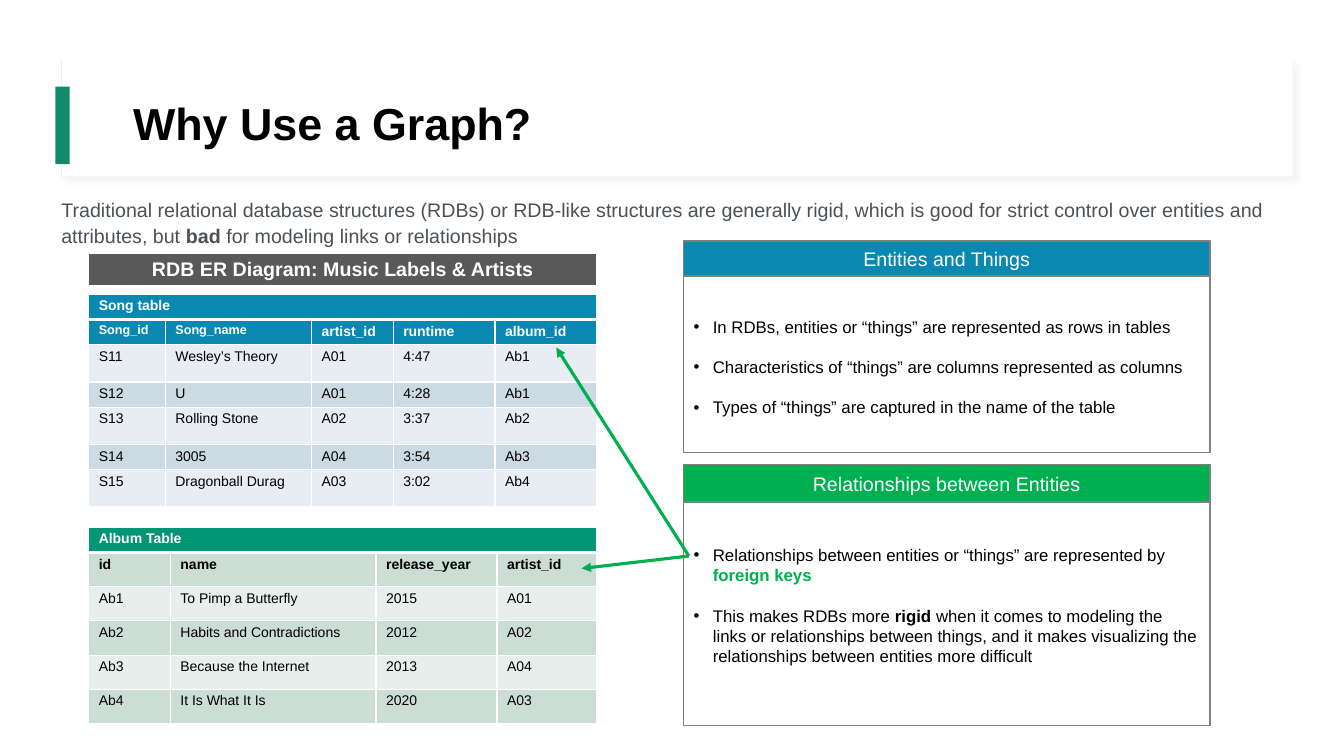
from dataclasses import dataclass

from lxml import etree
from pptx import Presentation
from pptx.dml.color import RGBColor
from pptx.enum.shapes import MSO_CONNECTOR, MSO_SHAPE
from pptx.enum.text import MSO_ANCHOR, MSO_AUTO_SIZE, PP_ALIGN
from pptx.oxml.ns import qn
from pptx.util import Inches, Pt

RECTANGLE = MSO_SHAPE.RECTANGLE
STRAIGHT = MSO_CONNECTOR.STRAIGHT
TOP, MIDDLE = MSO_ANCHOR.TOP, MSO_ANCHOR.MIDDLE
LEFT, CENTER = PP_ALIGN.LEFT, PP_ALIGN.CENTER
COMPARISON_LAYOUT = 4
GRID = Inches(0.1)  # one column or row of the slide grid


@dataclass(frozen=True)
class Theme:
    font: str = "Arial"
    black: str = "000000"
    white: str = "FFFFFF"
    grey_text: str = "4D5156"
    banner: str = "595959"
    border: str = "808080"
    frame: str = "EBF0ED"
    shadow: str = "D9D9D9"
    accent: str = "108A6A"
    blue: str = "0989B1"
    blue_bands: tuple = ("E7EDF2", "CCDAE4")
    teal: str = "029676"
    teal_bands: tuple = ("E7EFEC", "CCDDD6")
    green: str = "00B050"
    title_size: float = 32
    heading_size: float = 14
    body_size: float = 12
    table_size: float = 10
    small_size: float = 9


THEME = Theme()


@dataclass(frozen=True)
class Box:
    """An area in grid columns and rows."""
    left: float
    top: float
    width: float
    height: float

    def lengths(self):
        return [round(n * GRID) for n in (self.left, self.top, self.width, self.height)]

    def point(self, across, down):
        return (round((self.left + across * self.width) * GRID),
                round((self.top + down * self.height) * GRID))


def rgb(color):
    return RGBColor.from_string(color)


def add_text(paragraph, text, size=THEME.body_size, color=THEME.black, bold=False):
    run = paragraph.add_run()
    run.text = text
    font = run.font
    font.name, font.size, font.bold = THEME.font, Pt(size), bold
    font.color.rgb = rgb(color)


def format_paragraph(paragraph, align=LEFT, spacing=1.0, before=0, bullet=None):
    properties = paragraph._p.get_or_add_pPr()
    indent = Inches(0.19) if bullet else 0
    properties.set("marL", str(indent))
    properties.set("indent", str(-indent))
    if bullet:
        etree.SubElement(properties, qn("a:buFont"), typeface=THEME.font)
        etree.SubElement(properties, qn("a:buChar"), char=bullet)
    else:
        etree.SubElement(properties, qn("a:buNone"))
    paragraph.alignment = align
    paragraph.line_spacing = spacing
    paragraph.space_before = Pt(before)


def prepare(shape, box, anchor=MIDDLE):
    shape.left, shape.top, shape.width, shape.height = box.lengths()
    frame = shape.text_frame
    frame.word_wrap = True
    frame.auto_size = MSO_AUTO_SIZE.NONE
    frame.vertical_anchor = anchor
    return frame


def paint(shape, fill=None, line=None, width=1):
    if fill:
        shape.fill.solid()
        shape.fill.fore_color.rgb = rgb(fill)
    else:
        shape.fill.background()
    if line:
        shape.line.color.rgb = rgb(line)
        shape.line.width = Pt(width)
    else:
        shape.line.fill.background()


def add_rectangle(slide, box, **colors):
    shape = slide.shapes.add_shape(RECTANGLE, *box.lengths())
    shape.shadow.inherit = False
    paint(shape, **colors)
    return shape


def add_header(slide, box):
    # Frame with a soft shadow, its white cover and the accent bar, behind the title
    frame = add_rectangle(slide, box, fill=THEME.white, line=THEME.frame, width=0.75)
    effects = frame._element.spPr.find(qn("a:effectLst"))
    shadow = etree.SubElement(effects, qn("a:outerShdw"), blurRad=str(Pt(4)),
                              dist=str(Pt(3)), dir="2700000")
    color = etree.SubElement(shadow, qn("a:srgbClr"), val=THEME.shadow)
    etree.SubElement(color, qn("a:alpha"), val="30000")
    cover = add_rectangle(slide, Box(box.left + 0.1, box.top - 1.4, box.width - 0.1,
                                     box.height + 1.4), fill=THEME.white)
    bar = add_rectangle(slide, Box(box.left - 0.6, box.top + 2.6, 1.4, 7.7), fill=THEME.accent)
    for position, shape in enumerate((frame, cover, bar), start=2):
        slide.shapes._spTree.insert(position, shape._element)
    # Title
    title_box = Box(box.left + 6.1, box.top, 111.2, 12.9)
    paragraph = prepare(slide.shapes.title, title_box).paragraphs[0]
    format_paragraph(paragraph, spacing=0.9)
    add_text(paragraph, "Why Use a Graph?", size=THEME.title_size, bold=True)


def add_intro(slide, box):
    frame = prepare(slide.shapes.add_textbox(*box.lengths()), box, anchor=TOP)
    format_paragraph(frame.paragraphs[0], spacing=1.1)
    for text, bold in (
            ("Traditional relational database structures (RDBs) or RDB-like structures are generally "
             "rigid, which is good for strict control over entities and attributes, but ", False),
            ("bad ", True), ("for modeling links or relationships", False)):
        add_text(frame.paragraphs[0], text, size=THEME.heading_size,
                 color=THEME.grey_text, bold=bold)


def add_heading(shape, box, text, bold=False, **colors):
    frame = prepare(shape, box)
    paint(shape, **colors)
    format_paragraph(frame.paragraphs[0], align=CENTER)
    add_text(frame.paragraphs[0], text, size=THEME.heading_size, color=THEME.white, bold=bold)


def add_panel(heading, body, box, title, color, bullets, heading_rows, inset):
    add_heading(heading, Box(box.left, box.top, box.width, heading_rows), title,
                fill=color, line=THEME.border)
    frame = prepare(body, box)
    frame.margin_top = round(inset * GRID)
    paint(body, line=THEME.border)
    for number, runs in enumerate(bullets):
        paragraph = frame.add_paragraph() if number else frame.paragraphs[0]
        format_paragraph(paragraph, before=14.4 if number else 0, bullet="•")
        for text, style in runs:
            add_text(paragraph, text, **style)


def set_borders(cell, bottom):
    properties = cell._tc.get_or_add_tcPr()
    for position, side in enumerate(("lnL", "lnR", "lnT", "lnB")):
        line = etree.Element(qn(f"a:{side}"), w=str(Pt(bottom if side == "lnB" else 1)))
        fill = etree.SubElement(line, qn("a:solidFill"))
        etree.SubElement(fill, qn("a:srgbClr"), val=THEME.white)
        properties.insert(position, line)


def add_entity_table(slide, box, title, color, columns, heights, header, records, bands):
    rows = [[title] + [""] * (len(columns) - 1), [text for text, _ in header], *records]
    table = slide.shapes.add_table(len(rows), len(columns), *box.lengths()).table
    table.first_row = table.horz_banding = False
    for column, width in zip(table.columns, columns):
        column.width = round(width * GRID)
    header_fill, header_color = (color, THEME.white) if color == THEME.blue else (bands[1], THEME.black)
    for i, (row, height) in enumerate(zip(table.rows, heights)):
        row.height = round(height * GRID)
        fill = (color, header_fill)[i] if i < 2 else bands[i % 2]
        text_color = (THEME.white, header_color)[i] if i < 2 else THEME.black
        for j, cell in enumerate(row.cells):
            cell.margin_top = cell.margin_bottom = Inches(0.04)
            cell.fill.solid()
            cell.fill.fore_color.rgb = rgb(fill)
            set_borders(cell, bottom=3 if i == 0 else 1)
            if rows[i][j]:
                size = header[j][1] if i == 1 else THEME.table_size
                add_text(cell.text_frame.paragraphs[0], rows[i][j], size=size,
                         color=text_color, bold=i < 2)
    table.cell(0, 0).merge(table.cell(0, len(columns) - 1))


def add_arrow(slide, start, end):
    arrow = slide.shapes.add_connector(STRAIGHT, *start, *end)
    arrow.line.color.rgb = rgb(THEME.green)
    arrow.line.width = Pt(2.25)
    etree.SubElement(arrow.line._get_or_add_ln(), qn("a:tailEnd"), type="triangle")
    etree.SubElement(arrow._element.spPr, qn("a:effectLst"))


def main():
    presentation = Presentation()
    presentation.slide_width, presentation.slide_height = Inches(13.33), Inches(7.5)
    slide = presentation.slides.add_slide(presentation.slide_layouts[COMPARISON_LAYOUT])
    holders = slide.placeholders
    add_header(slide, Box(6.1, 6, 122.1, 11.5))
    add_intro(slide, Box(5.1, 18.9, 123.5, 7.5))

    # Explanations on the right
    plain, strong = {}, {"bold": True}
    key = {"bold": True, "color": THEME.green}
    add_panel(holders[1], holders[2], Box(67.8, 23.9, 52.2, 21), "Entities and Things", THEME.blue, [
        [("In RDBs, entities or “things” are represented as rows in tables", plain)],
        [("Characteristics of “things” are columns represented as columns", plain)],
        [("Types of “things” are captured in the name of the table", plain)],
    ], heading_rows=3.5, inset=4.5)
    relations = Box(67.8, 46.1, 52.2, 25.9)
    add_panel(holders[3], holders[4], relations, "Relationships between Entities", THEME.green, [
        [("Relationships between entities or “things” are represented by ", plain),
         ("foreign keys", key)],
        [("This makes RDBs more ", plain), ("rigid ", strong),
         ("when it comes to modeling the links or relationships between things, and it makes "
          "visualizing the relationships between entities more difficult", plain)],
    ], heading_rows=3.7, inset=2.5)

    # Tables on the left
    banner = Box(8.8, 25.1, 50.4, 3.2)
    add_heading(add_rectangle(slide, banner), banner, "RDB ER Diagram: Music Labels & Artists",
                bold=True, fill=THEME.banner, line=THEME.white)
    songs, albums = Box(8.8, 29.2, 50.4, 21.1), Box(8.8, 52.3, 50.4, 19.5)
    small, normal = THEME.small_size, THEME.table_size
    add_entity_table(
        slide, songs, "Song table", THEME.blue, [7.6, 14.5, 8.1, 10.1, 10.1],
        [2.5] + [2.5, 3.7] * 3,
        [("Song_id", small), ("Song_name", small), ("artist_id", normal),
         ("runtime", normal), ("album_id", normal)],
        [("S11", "Wesley’s Theory", "A01", "4:47", "Ab1"),
         ("S12", "U", "A01", "4:28", "Ab1"),
         ("S13", "Rolling Stone", "A02", "3:37", "Ab2"),
         ("S14", "3005", "A04", "3:54", "Ab3"),
         ("S15", "Dragonball Durag", "A03", "3:02", "Ab4")], THEME.blue_bands)
    add_entity_table(
        slide, albums, "Album Table", THEME.teal, [8.1, 20.4, 12, 9.9], [2.5] + [3.4] * 5,
        [(name, normal) for name in ("id", "name", "release_year", "artist_id")],
        [("Ab1", "To Pimp a Butterfly", "2015", "A01"),
         ("Ab2", "Habits and Contradictions", "2012", "A02"),
         ("Ab3", "Because the Internet", "2013", "A04"),
         ("Ab4", "It Is What It Is", "2020", "A03")], THEME.teal_bands)

    # Foreign-key arrows
    foreign_key = relations.point(0.01, 0.35)
    for target in (songs.point(0.92, 0.25), albums.point(0.97, 0.21)):
        add_arrow(slide, foreign_key, target)
    presentation.save("out.pptx")


if __name__ == "__main__":
    main()
